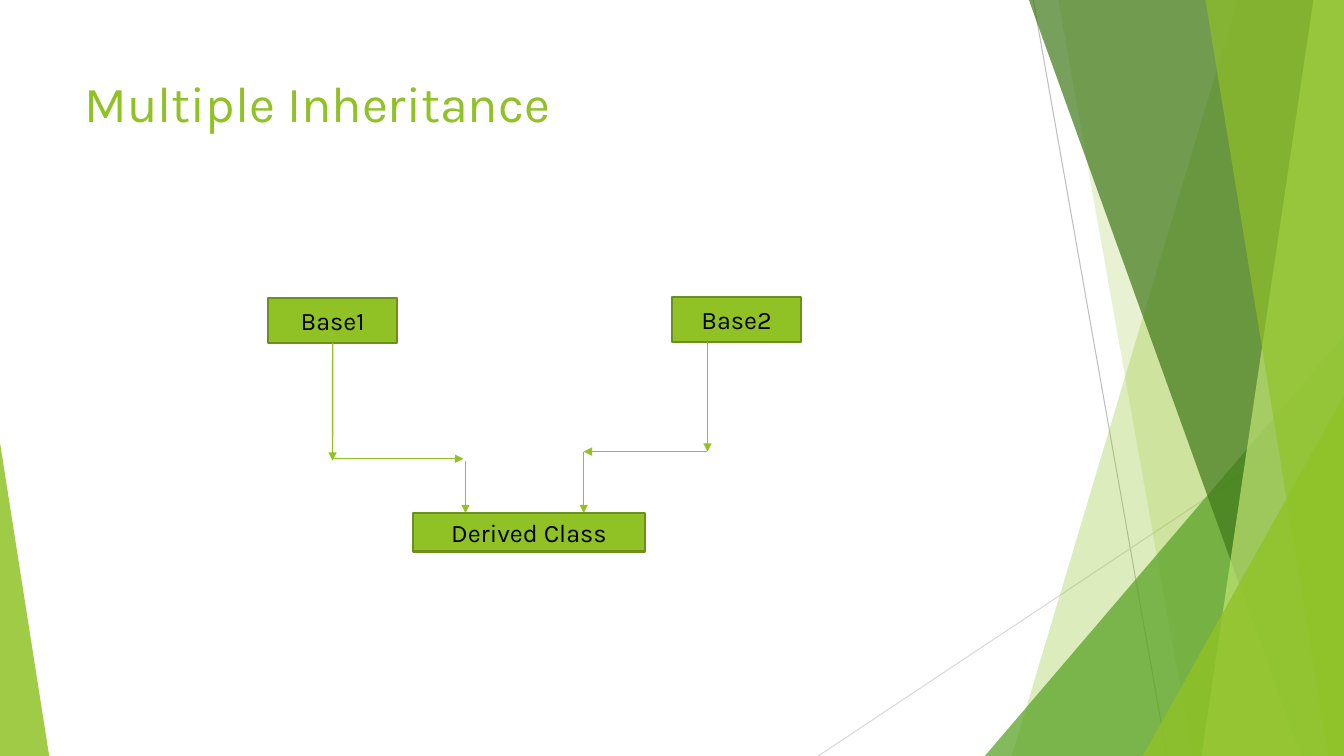
import pptx
import pptx.util
import pptx.dml.color
import pptx.enum.shapes
import pptx.enum.text
import pptx.oxml
import pptx.oxml.ns
from pptx.util import Cm

WIDTH, HEIGHT = 33.87, 19.05
GREEN, DARK_GREEN = "90C226", "6B901C"
SHAPE = pptx.enum.shapes.MSO_SHAPE
ALIGN = pptx.enum.text.PP_ALIGN
ANCHOR = pptx.enum.text.MSO_ANCHOR


def paint(color_format, hex_color, opacity=100):
    color_format.rgb = pptx.dml.color.RGBColor.from_string(hex_color)


def add_xml(parent, tag, **attributes):
    child = pptx.oxml.parse_xml(f'<a:{tag} {pptx.oxml.ns.nsdecls("a")}/>')
    for name, value in attributes.items():
        child.set(name, value)
    parent.append(child)


def write(shape, text, size=18, color="000000", align=ALIGN.CENTER, anchor=ANCHOR.MIDDLE):
    frame = shape.text_frame
    frame.word_wrap = True
    frame.vertical_anchor = anchor
    paragraph = frame.paragraphs[0]
    paragraph.alignment = align
    run = paragraph.add_run()
    run.text = text
    run.font.name = "Karla"
    run.font.size = pptx.util.Pt(size)
    paint(run.font.color, color)


class Diagram:
    """Holds the slide and the style of its elements."""

    def __init__(self, slide):
        self.slide = slide
        self.shapes = slide.shapes

    def fill(self, shape, color, opacity=100):
        shape.shadow.inherit = False
        shape.fill.solid()
        paint(shape.fill.fore_color, color)
        if opacity < 100:
            solid = shape.element.spPr.find(pptx.oxml.ns.qn("a:solidFill"))
            add_xml(solid[0], "alpha", val=str(opacity * 1000))
            shape.line.fill.background()

    def band(self, top_x, bottom_x, color, opacity):
        """Area between a slanted edge and the right side of the slide."""
        builder = self.shapes.build_freeform(Cm(top_x), 0)
        corners = [(WIDTH, 0), (WIDTH, HEIGHT), (bottom_x, HEIGHT)]
        builder.add_line_segments([(Cm(x), Cm(y)) for x, y in corners])
        self.fill(builder.convert_to_shape(), color, opacity)

    def triangle(self, left, top, width, apex, color, opacity):
        """Triangle standing on the bottom of the slide."""
        shape = self.shapes.add_shape(
            SHAPE.ISOSCELES_TRIANGLE, Cm(left), Cm(top), Cm(width), Cm(HEIGHT - top))
        shape.adjustments[0] = apex
        self.fill(shape, color, opacity)

    def line(self, start, end, color=GREEN, width=1, arrow=True):
        connector = self.shapes.add_connector(
            pptx.enum.shapes.MSO_CONNECTOR.STRAIGHT, *map(Cm, start + end))
        connector.line.width = pptx.util.Pt(width)
        connector.line.fill.solid()
        paint(connector.line.color, color)
        properties = connector.element.spPr
        if arrow:
            add_xml(properties.find(pptx.oxml.ns.qn("a:ln")), "tailEnd", type="triangle")
        add_xml(properties, "effectLst")
        return connector

    def class_box(self, name, left, top, width, height):
        box = self.shapes.add_shape(SHAPE.RECTANGLE, *map(Cm, (left, top, width, height)))
        self.fill(box, GREEN)
        paint(box.line.color, DARK_GREEN)
        box.line.width = pptx.util.Pt(1.5)
        write(box, name)
        return box

    def title(self, text, left, top, width, height):
        title = self.shapes.title
        title.left, title.top, title.width, title.height = map(Cm, (left, top, width, height))
        write(title, text, size=36, color=GREEN, align=ALIGN.LEFT, anchor=ANCHOR.TOP)
        # Bring the title in front of the decoration
        title.element.getparent().append(title.element)


def main():
    deck = pptx.Presentation()
    deck.slide_width, deck.slide_height = Cm(WIDTH), Cm(HEIGHT)
    diagram = Diagram(deck.slides.add_slide(deck.slide_layouts[5]))

    # Decoration
    diagram.line((26.04, 0), (29.41, HEIGHT), "BFBFBF", 0.75, arrow=False)
    diagram.line((WIDTH, 10.24), (20.62, HEIGHT), "D9D9D9", 0.75, arrow=False)
    diagram.band(31.19, 25.5, GREEN, 30)
    diagram.band(26.67, 30.05, GREEN, 20)
    diagram.triangle(24.82, 8.46, 9.05, 1, "54A021", 72)
    diagram.band(25.93, 32.79, "3F7819", 70)
    diagram.band(33.1, 30.28, "C0E474", 70)
    diagram.band(30.38, 33.48, GREEN, 65)
    diagram.triangle(28.8, 9.98, 5.07, 1, GREEN, 80)
    diagram.triangle(0, 11.15, 1.24, 0, GREEN, 85)

    diagram.title("Multiple Inheritance", 1.88, 1.7, 23.88, 3.66)

    # Base classes
    base1 = diagram.class_box("Base1", 6.76, 7.52, 3.25, 1.12)
    diagram.class_box("Base2", 16.94, 7.49, 3.25, 1.12)

    # Path from Base1 to the derived class
    base1_drop = diagram.line((8.38, 8.64), (8.38, 11.61))
    base1_drop.begin_connect(base1, 2)
    diagram.line((8.36, 11.56), (11.68, 11.56))
    diagram.line((11.73, 11.61), (11.73, 12.93))

    # Path from Base2 to the derived class
    base2_path = [(17.83, 8.61), (17.83, 11.38), (14.71, 11.38), (14.71, 12.93)]
    for start, end in zip(base2_path, base2_path[1:]):
        diagram.line(start, end)

    diagram.class_box("Derived Class", 10.41, 12.93, 5.84, 0.97)

    deck.save("out.pptx")


if __name__ == "__main__":
    main()
